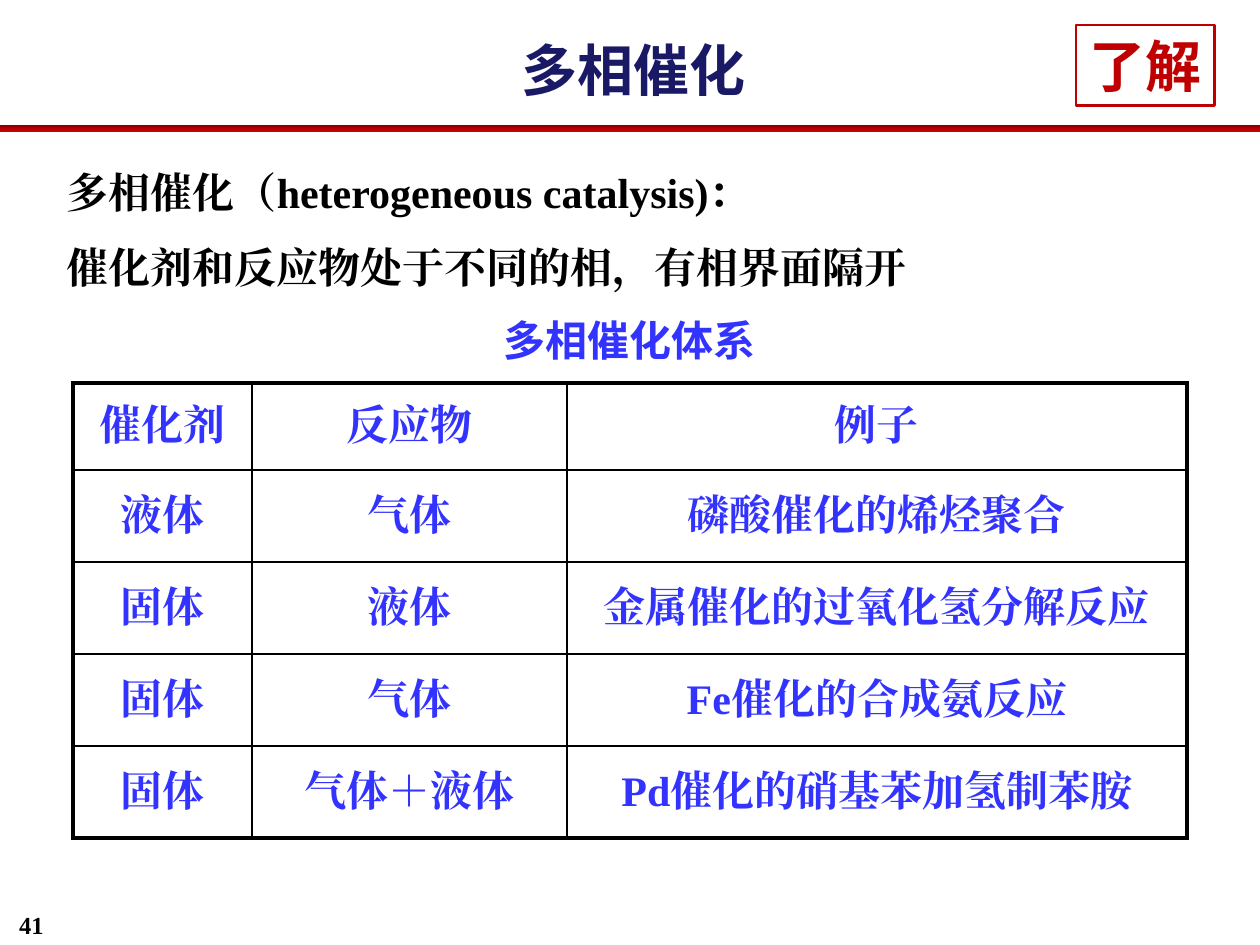
from lxml.etree import SubElement
from pptx import Presentation
from pptx.dml.color import RGBColor
from pptx.enum.shapes import MSO_SHAPE
from pptx.enum.text import MSO_ANCHOR, MSO_AUTO_SIZE, PP_ALIGN as ALIGN
from pptx.oxml.ns import qn
from pptx.util import Inches, Pt

C = {"black": "000000", "navy": "191966", "blue": "3333FF", "red": "C00000",
     "bar_dark": "790000", "bar_mid": "AC0000", "bar_light": "CC0000"}
SERIF, SANS, CJK = "Times New Roman", "Arial", "Noto Sans CJK SC"

prs = Presentation()
prs.slide_width, prs.slide_height = Inches(10), Inches(7.5)
s = prs.slides.add_slide(prs.slide_layouts[1])


def place(sp, left, top, width, height):
    sp.left, sp.top, sp.width, sp.height = map(Inches, (left, top, width, height))


def write(tf, lines, size, font, color, align, spacing=1.0):
    """Fill a text frame with bold paragraphs, without bullets or indents."""
    for i, line in enumerate(lines):
        p = tf.paragraphs[0] if i == 0 else tf.add_paragraph()
        pPr = p._p.get_or_add_pPr()
        pPr.set("marL", "0")
        pPr.set("indent", "0")
        SubElement(pPr, qn("a:buNone"))
        p.alignment, p.line_spacing, p.space_before = align, spacing, Pt(0)
        r = p.add_run()
        r.text = line
        r.font.size, r.font.bold, r.font.name = Pt(size), True, font
        r.font.color.rgb = RGBColor.from_string(C[color])
        SubElement(r._r.get_or_add_rPr(), qn("a:ea")).set("typeface", font)


# Title and definition
title, body = s.shapes.title, s.placeholders[1]
place(title, 1.93, 0.13, 6.2, 0.83)
title.text_frame.vertical_anchor = MSO_ANCHOR.MIDDLE
write(title.text_frame, ["多相催化"], 32, SANS, "navy", ALIGN.CENTER)

place(body, 0.43, 1.07, 8.5, 1.24)
body.text_frame.auto_size = MSO_AUTO_SIZE.NONE
write(body.text_frame,
      ["多相催化（heterogeneous catalysis)：", "催化剂和反应物处于不同的相，有相界面隔开"],
      24, SERIF, "black", ALIGN.JUSTIFY, 1.5)

# Red bar under the title
bar = s.shapes.add_shape(MSO_SHAPE.RECTANGLE, 0, Inches(0.99), prs.slide_width, Inches(0.05))
bar.shadow.inherit = False
bar.line.fill.background()
bar.fill.gradient()
bar.fill.gradient_angle = 270
stops = bar.fill._fill._gradFill.find(qn("a:gsLst"))
for stop in list(stops):
    stops.remove(stop)
for pos, name in ((0, "bar_dark"), (50, "bar_mid"), (100, "bar_light")):
    stop = SubElement(stops, qn("a:gs"), pos=str(pos * 1000))
    SubElement(stop, qn("a:srgbClr"), val=C[name])

# Badge
badge = s.shapes.add_shape(MSO_SHAPE.RECTANGLE, 0, 0, 0, 0)
place(badge, 8.54, 0.2, 1.1, 0.64)
badge.shadow.inherit = False
badge.fill.background()
badge.line.color.rgb = RGBColor.from_string(C["red"])
badge.line.width = Pt(1.5)
badge.text_frame.word_wrap = False
write(badge.text_frame, ["了解"], 32, CJK, "red", ALIGN.CENTER)

# Table caption and page number
caption = s.shapes.add_textbox(0, 0, 0, 0)
place(caption, 3.88, 2.25, 2.23, 0.61)
caption.text_frame.word_wrap = False
write(caption.text_frame, ["多相催化体系"], 24, CJK, "blue", ALIGN.CENTER, 1.5)

number = s.shapes.add_textbox(0, 0, 0, 0)
place(number, 0, 7.17, 0.5, 0.25)
number.text_frame.word_wrap = True
write(number.text_frame, ["41"], 14, SERIF, "black", ALIGN.CENTER)

# Table of catalytic systems
rows = [
    ("催化剂", "反应物", "例子"),
    ("液体", "气体", "磷酸催化的烯烃聚合"),
    ("固体", "液体", "金属催化的过氧化氢分解反应"),
    ("固体", "气体", "Fe催化的合成氨反应"),
    ("固体", "气体＋液体", "Pd催化的硝基苯加氢制苯胺"),
]
widths = (1.42, 2.5, 4.92)
last_row, last_col = len(rows) - 1, len(widths) - 1
frame = s.shapes.add_table(len(rows), len(widths), Inches(0.58), Inches(3.04),
                           Inches(sum(widths)), Inches(3.62))
table = frame.table
table.first_row = table.horz_banding = False
for col, width in zip(table.columns, widths):
    col.width = Inches(width)
for i, row in enumerate(table.rows):
    row.height = Inches(0.69 if i == 0 else 0.73)

for i, texts in enumerate(rows):
    for j, text in enumerate(texts):
        cell = table.cell(i, j)
        cell.vertical_anchor = MSO_ANCHOR.MIDDLE
        write(cell.text_frame, [text], 24, SERIF, "blue", ALIGN.CENTER)
        outer = {"lnL": j == 0, "lnR": j == last_col, "lnT": i == 0, "lnB": i == last_row}
        tcPr = cell._tc.get_or_add_tcPr()
        for side, is_outer in outer.items():
            ln = SubElement(tcPr, qn(f"a:{side}"), w=str(Pt(2.25 if is_outer else 1)))
            fill = SubElement(ln, qn("a:solidFill"))
            SubElement(fill, qn("a:srgbClr"), val=C["black"])
        cell.fill.background()

prs.save("out.pptx")
